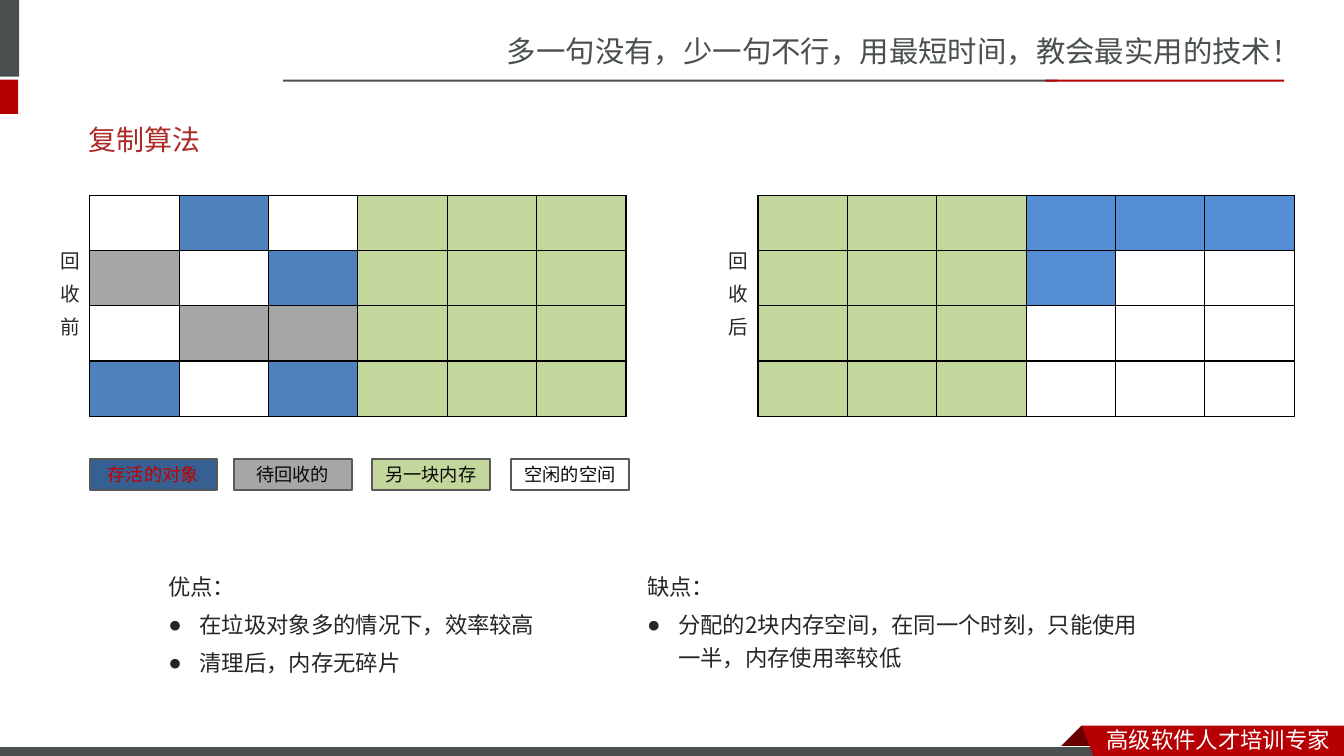
import lxml.etree
import pptx
import pptx.dml.color
import pptx.enum.shapes
import pptx.enum.text
import pptx.oxml.ns
import pptx.util

ALIGN = pptx.enum.text.PP_ALIGN
ANCHOR = pptx.enum.text.MSO_ANCHOR
RECTANGLE = pptx.enum.shapes.MSO_SHAPE.RECTANGLE
qn = pptx.oxml.ns.qn
color = pptx.dml.color.RGBColor.from_string

THEME = {
    "slate": "49504F", "red": "B60004", "fold": "680000", "white": "FFFFFF",
    "title": "AD2A26", "text": "262626", "legend": "080808", "alert": "C00000",
    "live": "4F81BD", "live_key": "376092", "moved": "558ED5", "garbage": "A6A6A6",
    "reserve": "C3D69B", "key_line": "595959", "grid": "000000",
    "slogan_size": 21, "title_size": 20, "list_size": 16, "label_size": 14, "key_size": 13,
    "brand_font": "Noto Sans CJK SC", "body_font": "Noto Sans CJK JP",
    "title_font": "Lato", "key_font": "Courier New",
}

deck = pptx.Presentation()
deck.slide_height = pptx.util.Inches(7.5)
deck.slide_width = deck.slide_height * 16 // 9
column = deck.slide_width / 160
row = deck.slide_height / 90
slide = deck.slides.add_slide(deck.slide_layouts[3])


def area(left, top, width, height):
    return [round(left * column), round(top * row), round(width * column), round(height * row)]


def write(holder, text, size, font, ink, align=ALIGN.LEFT, anchor=ANCHOR.TOP,
          spacing=1.0, gap=0, bullets=False, wrap=True, margin=0.1):
    frame = holder.text_frame
    frame.text = text
    frame.word_wrap = wrap
    frame.auto_size = pptx.enum.text.MSO_AUTO_SIZE.NONE
    frame.vertical_anchor = anchor
    frame.margin_left = frame.margin_right = pptx.util.Inches(margin)
    for index, paragraph in enumerate(frame.paragraphs):
        paragraph.alignment = align
        paragraph.line_spacing = spacing
        paragraph.space_before = pptx.util.Pt(gap * size if index else 0)
        if bullets:
            properties = paragraph.runs[0].font._element.getparent().getparent().get_or_add_pPr()
            indent = pptx.util.Inches(0.31) if index else 0
            properties.set("marL", str(indent))
            properties.set("indent", str(-indent))
            if index:
                lxml.etree.SubElement(properties, qn("a:buChar"), char="●")
            else:
                lxml.etree.SubElement(properties, qn("a:buNone"))
        for run in paragraph.runs:
            run.font.size = pptx.util.Pt(THEME[size_key]) if (size_key := None) else pptx.util.Pt(size)
            run.font.color.rgb = color(THEME[ink])
            run.font.name = THEME[font]
            lxml.etree.SubElement(run.font._element, qn("a:ea"), typeface=THEME[font])


fold = [(128.76, 86.4), (131.4, 89.04), (131.28, 89.16), (126.24, 89.16), (126.12, 89.04)]
ribbon = [(128.76, 86.4), (160, 86.4), (160, 90.48), (130.32, 90.36)]
bars = [
    ((-0.72, 0, 3, 9.12), "slate", None),
    ((-0.72, 9.48, 2.88, 4.08), "red", None),
    ((33.72, 9.48, 92.16, 0.24), "slate", None),
    ((124.44, 9.48, 28.44, 0.24), "red", None),
    ((-0.12, 88.92, 132, 1.44), "slate", "white"),
]
for outline, fill in [(fold, "fold"), (None, None), (ribbon, "red")]:
    if outline is None:
        for place, bar_fill, edge in bars:
            bar = slide.shapes.add_shape(RECTANGLE, *area(*place))
            bar.shadow.inherit = False
            bar.fill.solid()
            bar.fill.fore_color.rgb = color(THEME[bar_fill])
            if edge:
                bar.line.color.rgb = color(THEME[edge])
                bar.line.width = pptx.util.Pt(0.75)
            else:
                bar.line.fill.background()
        continue
    corners = [(round(x * column), round(y * row)) for x, y in outline]
    builder = slide.shapes.build_freeform(*corners[0])
    builder.add_line_segments(corners[1:], close=True)
    banner = builder.convert_to_shape()
    banner.shadow.inherit = False
    banner.fill.solid()
    banner.fill.fore_color.rgb = color(THEME[fill])
    banner.line.fill.background()

slogan = slide.shapes.add_textbox(*area(59.16, 3.36, 100.84, 5.64))
write(slogan, "多一句没有，少一句不行，用最短时间，教会最实用的技术！",
      THEME["slogan_size"], "brand_font", "slate", wrap=False)
motto = slide.shapes.add_textbox(*area(130.56, 85.8, 29.4, 4.44))
write(motto, "高级软件人才培训专家", THEME["list_size"], "brand_font", "white", wrap=False)

heading, benefits, drawbacks = slide.placeholders
heading.left, heading.top, heading.width, heading.height = area(9.36, 13.2, 140.4, 6.84)
write(heading, "复制算法", THEME["title_size"], "title_font", "title", anchor=ANCHOR.MIDDLE)

cell_fills = {"L": "live", "M": "moved", "G": "garbage", "R": "reserve"}
memories = [
    (10.68, 6, "回\n收\n前", [".L.RRR", "G.LRRR", ".GGRRR", "L.LRRR"]),
    (90.24, 85.56, "回\n收\n后", ["RRRMMM", "RRRM..", "RRR...", "RRR..."]),
]
for left, label_left, caption, pattern in memories:
    memory = slide.shapes.add_table(4, 6, *area(left, 23.28, 63.84, 26.28)).table
    memory.first_row = memory.horz_banding = False
    for r, line in enumerate(pattern):
        for c, state in enumerate(line):
            block = memory.cell(r, c)
            for side in ("lnL", "lnR", "lnT", "lnB"):
                border = lxml.etree.SubElement(
                    block._tc.get_or_add_tcPr(), qn("a:" + side), w=str(pptx.util.Pt(1)))
                paint = lxml.etree.SubElement(border, qn("a:solidFill"))
                lxml.etree.SubElement(paint, qn("a:srgbClr"), val=THEME["grid"])
            if state in cell_fills:
                block.fill.solid()
                block.fill.fore_color.rgb = color(THEME[cell_fills[state]])
            else:
                block.fill.background()
    label = slide.shapes.add_textbox(*area(label_left, 28.38, 5.52, 16.32))
    write(label, caption, THEME["label_size"], "body_font", "text", spacing=1.24, gap=0.2)

legend = [
    (10.68, 15.12, "存活的对象", "live_key", "alert"),
    (27.84, 14.04, "待回收的", "garbage", "legend"),
    (44.28, 14.04, "另一块内存", "reserve", "legend"),
    (60.84, 14.04, "空闲的空间", None, "legend"),
]
for left, width, meaning, fill, ink in legend:
    key = slide.shapes.add_shape(RECTANGLE, *area(left, 54.6, width, 3.72))
    key.shadow.inherit = False
    if fill:
        key.fill.solid()
        key.fill.fore_color.rgb = color(THEME[fill])
    else:
        key.fill.background()
    key.line.color.rgb = color(THEME["key_line"])
    key.line.width = pptx.util.Pt(1.5)
    write(key, meaning, THEME["key_size"], "key_font", ink,
          align=ALIGN.CENTER, anchor=ANCHOR.MIDDLE, margin=0.05)

verdicts = [
    (benefits, 18.84, 55.8, "优点：\n在垃圾对象多的情况下，效率较高\n清理后，内存无碎片"),
    (drawbacks, 75.84, 62.52, "缺点：\n分配的2块内存空间，在同一个时刻，只能使用一半，内存使用率较低"),
]
for verdict, left, width, points in verdicts:
    verdict.left, verdict.top, verdict.width, verdict.height = area(left, 66.9, width, 17.4)
    write(verdict, points, THEME["list_size"], "body_font", "text",
          spacing=1.24, gap=0.2, bullets=True)

deck.save("out.pptx")
